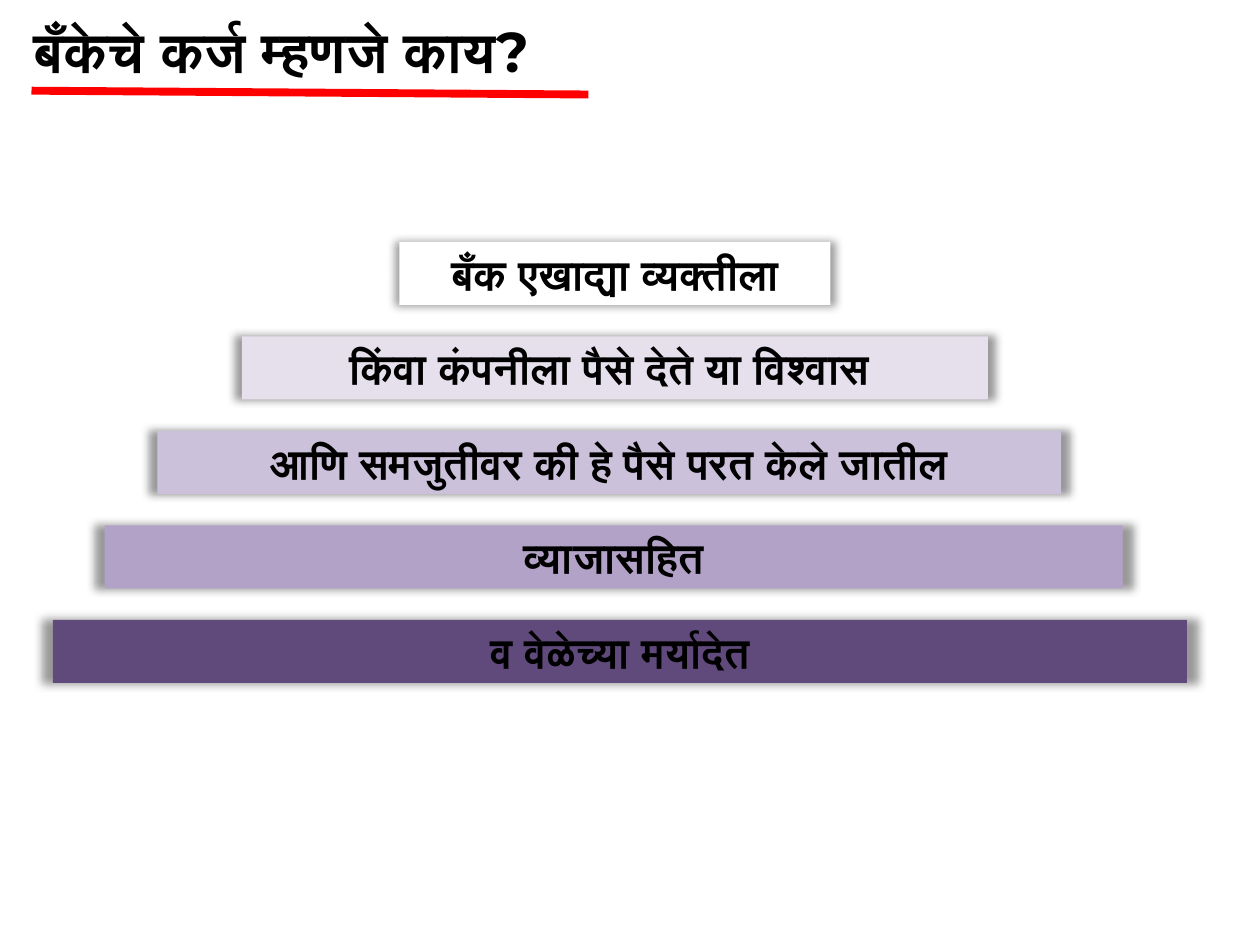
import pptx
import pptx.util
import pptx.dml.color
import pptx.enum.shapes
import pptx.enum.text
import pptx.oxml
import pptx.oxml.ns

Inches = pptx.util.Inches
Pt = pptx.util.Pt

BARS = [
    ("बँक एखाद्या व्यक्तीला", 3.17, 3.42, "FFFFFF"),
    ("किंवा कंपनीला पैसे देते या विश्वास ", 1.92, 5.92, "E6E0EC"),
    ("आणि समजुतीवर की हे पैसे परत केले जातील", 1.25, 7.17, "CCC1DA"),
    ("व्याजासहित", 0.83, 8.08, "B3A2C7"),
    ("व वेळेच्या मर्यादेत", 0.42, 9, "604A7B"),
]
SHADOW = (
    f'<a:effectLst {pptx.oxml.ns.nsdecls("a")}>'
    '<a:outerShdw blurRad="63500" sx="102000" sy="102000" algn="ctr" rotWithShape="0">'
    '<a:srgbClr val="000000"><a:alpha val="40000"/></a:srgbClr>'
    '</a:outerShdw></a:effectLst>'
)
FLAT = f'<a:effectLst {pptx.oxml.ns.nsdecls("a")}/>'


def color(code):
    return pptx.dml.color.RGBColor.from_string(code)


def write(shape, text, size, face, align=None):
    frame = shape.text_frame
    frame.word_wrap = True
    frame.auto_size = pptx.enum.text.MSO_AUTO_SIZE.SHAPE_TO_FIT_TEXT
    line = frame.paragraphs[0]
    line.alignment = align
    run = line.add_run()
    run.text = text
    run.font.size = Pt(size)
    run.font.name = face
    run.font.bold = True
    run.font.color.rgb = color("000000")


def add_title(slide, left, top, width, height):
    box = slide.shapes.add_textbox(
        Inches(left), Inches(top), Inches(width), Inches(height))
    write(box, "बँकेचे कर्ज म्हणजे काय?", 32, "Montserrat")
    base = top + height
    rule = slide.shapes.add_connector(
        pptx.enum.shapes.MSO_CONNECTOR.STRAIGHT,
        Inches(left + 0.08), Inches(base),
        Inches(left + 4.5), Inches(base + 0.03))
    rule.line.color.rgb = color("FF0000")
    rule.line.width = Pt(4.5)
    rule._element.spPr.append(pptx.oxml.parse_xml(FLAT))


def add_bars(slide, top, height, step):
    for row, (text, left, width, fill) in enumerate(BARS):
        bar = slide.shapes.add_shape(
            pptx.enum.shapes.MSO_SHAPE.RECTANGLE,
            Inches(left), Inches(top + row * step), Inches(width), Inches(height))
        bar.fill.solid()
        bar.fill.fore_color.rgb = color(fill)
        bar.line.fill.background()
        bar._element.spPr.append(pptx.oxml.parse_xml(SHADOW))
        write(bar, text, 24, "Arial", pptx.enum.text.PP_ALIGN.CENTER)


def main():
    deck = pptx.Presentation()
    deck.slide_width = Inches(10)
    deck.slide_height = Inches(7.5)
    slide = deck.slides.add_slide(deck.slide_layouts[6])
    add_title(slide, 0.17, 0.08, 5.42, 0.64)
    add_bars(slide, 1.92, 0.5, 0.75)
    deck.save("out.pptx")


if __name__ == "__main__":
    main()
